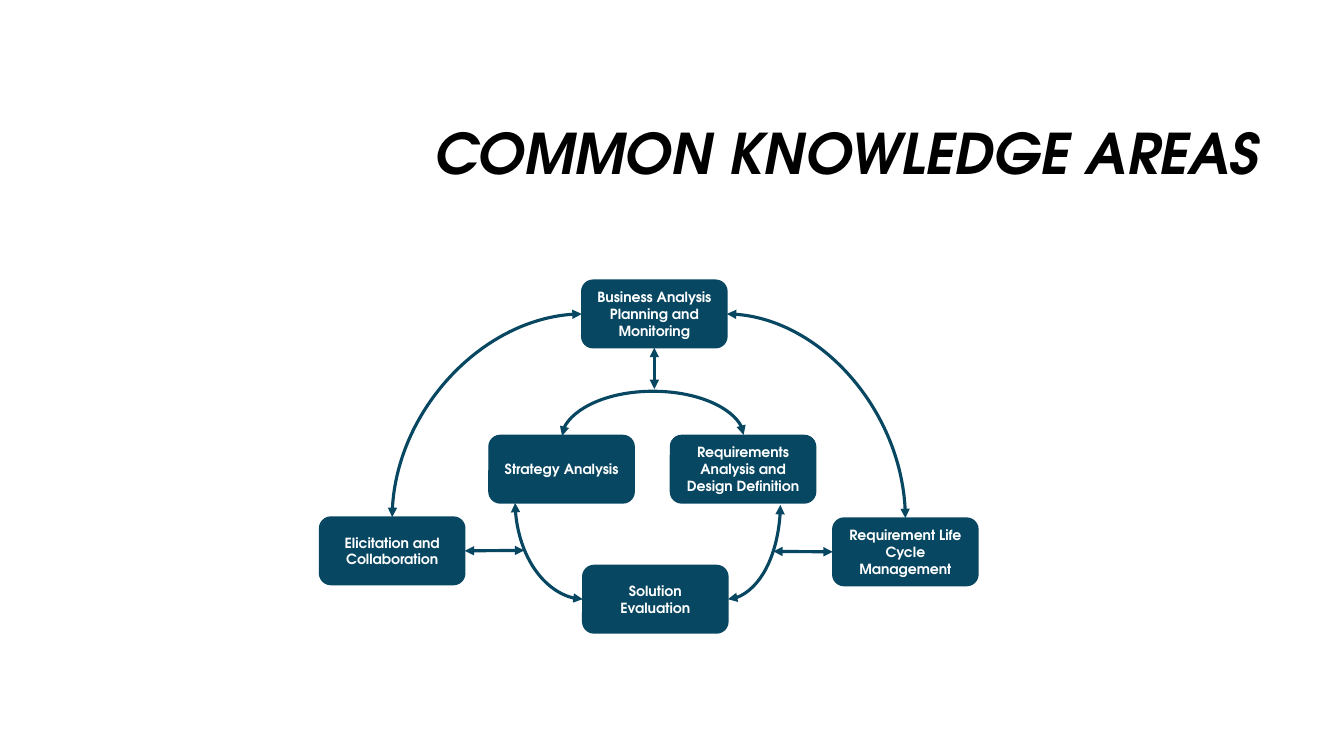
from lxml import etree
from pptx import Presentation
from pptx.dml.color import RGBColor
from pptx.enum.shapes import MSO_CONNECTOR, MSO_SHAPE
from pptx.enum.text import MSO_ANCHOR, PP_ALIGN
from pptx.oxml.ns import qn
from pptx.util import Inches, Pt

STRAIGHT, CURVE = MSO_CONNECTOR.STRAIGHT, MSO_CONNECTOR.CURVE
ROUND = MSO_SHAPE.ROUNDED_RECTANGLE
MIDDLE = MSO_ANCHOR.MIDDLE
CENTER, RIGHT = PP_ALIGN.CENTER, PP_ALIGN.RIGHT
TOP, WEST, BASE, EAST = range(4)

# Content
FONT = "TeX Gyre Adventor"
TEAL = "074762"
TITLE = "COMMON KNOWLEDGE AREAS"
WIDE, HIGH = 1.44, 0.67
AREAS = {  # name: (text, left, top)
    "plan": ("Business Analysis Planning and Monitoring", 5.77, 2.78),
    "design": ("Requirements Analysis and Design Definition", 6.65, 4.32),
    "solve": ("Solution Evaluation", 5.78, 5.61),
    "strat": ("Strategy Analysis", 4.85, 4.32),
    "elicit": ("Elicitation and Collaboration", 3.17, 5.13),
    "life": ("Requirement Life Cycle Management", 8.26, 5.14),
}
# Each link starts at an area's side and ends at a side or a point
LINKS = [
    (STRAIGHT, "plan", BASE, (6.49, 3.86)),
    (STRAIGHT, "elicit", EAST, (5.2, 5.46)),
    (STRAIGHT, "life", WEST, (7.67, 5.47)),
    (CURVE, "solve", WEST, (5.11, 4.99)),
    (CURVE, "solve", EAST, (7.74, 5.01)),
    (CURVE, "plan", EAST, ("life", TOP)),
    (CURVE, "plan", WEST, ("elicit", TOP)),
]
ARC_RISE = 0.45


def color(code):
    return RGBColor.from_string(code)


def write(shape, text, size, tint, align=CENTER, italic=False, space=None):
    frame = shape.text_frame
    frame.word_wrap = True
    frame.vertical_anchor = MIDDLE
    para = frame.paragraphs[0]
    para.alignment = align
    para.line_spacing = space
    run = para.add_run()
    run.text = text
    font = run.font
    font.name, font.size = FONT, Pt(size)
    font.bold, font.italic = True, italic
    font.color.rgb = color(tint)


def side(name, site):
    _, left, top = AREAS[name]
    across, down = [(0.5, 0), (0, 0.5), (0.5, 1), (1, 0.5)][site]
    return left + across * WIDE, top + down * HIGH


def link(kind, start, end):
    line = slide.shapes.add_connector(
        kind, *[Inches(v) for v in (*start, *end)])
    line.line.color.rgb = color(TEAL)
    line.line.width = Pt(2.25)
    props = line._element.spPr
    for tag in ("a:headEnd", "a:tailEnd"):
        etree.SubElement(props.find(qn("a:ln")), qn(tag), type="triangle")
    etree.SubElement(props, qn("a:effectLst"))
    return line


deck = Presentation()
deck.slide_width, deck.slide_height = Inches(13.33), Inches(7.5)
slide = deck.slides.add_slide(deck.slide_layouts[5])

# Title
title = slide.shapes.title
title.left, title.top = Inches(3.17), Inches(0.85)
title.width, title.height = Inches(9.42), Inches(1.41)
write(title, TITLE, 40, "000000", align=RIGHT, italic=True, space=0.9)

# Knowledge areas
boxes = {}
for name, (text, left, top) in AREAS.items():
    box = slide.shapes.add_shape(
        ROUND, *[Inches(v) for v in (left, top, WIDE, HIGH)])
    box.shadow.inherit = False
    box.fill.solid()
    box.fill.fore_color.rgb = color(TEAL)
    box.line.color.rgb = color(TEAL)
    box.line.width = Pt(1)
    write(box, text, 10, "FFFFFF")
    boxes[name] = box

# Links: a curve leaves level and arrives upright
for kind, name, site, goal in LINKS:
    joined = goal[0] in AREAS
    line = link(kind, side(name, site), side(*goal) if joined else goal)
    line.begin_connect(boxes[name], site)
    if joined:
        line.end_connect(boxes[goal[0]], goal[1])
    if kind == CURVE:
        geom = line._element.spPr.find(qn("a:prstGeom"))
        geom.set("prst", "curvedConnector2")

# Arc over the two middle areas: an upright curve turned by 90 degrees
(x1, y), (x2, _) = side("strat", TOP), side("design", TOP)
mid, half, thin = (x1 + x2) / 2, (x2 - x1) / 2, 0.01
arc = link(CURVE, (mid + thin, y + half), (mid, y - half))
arc.rotation = 90
props = arc._element.spPr
props.find(qn("a:xfrm")).set("rot", str(90 * 60000))
guides = props.find(qn("a:prstGeom")).find(qn("a:avLst"))
etree.SubElement(guides, qn("a:gd"), name="adj1",
                 fmla=f"val {round(ARC_RISE / thin * 100000)}")

deck.save("out.pptx")
